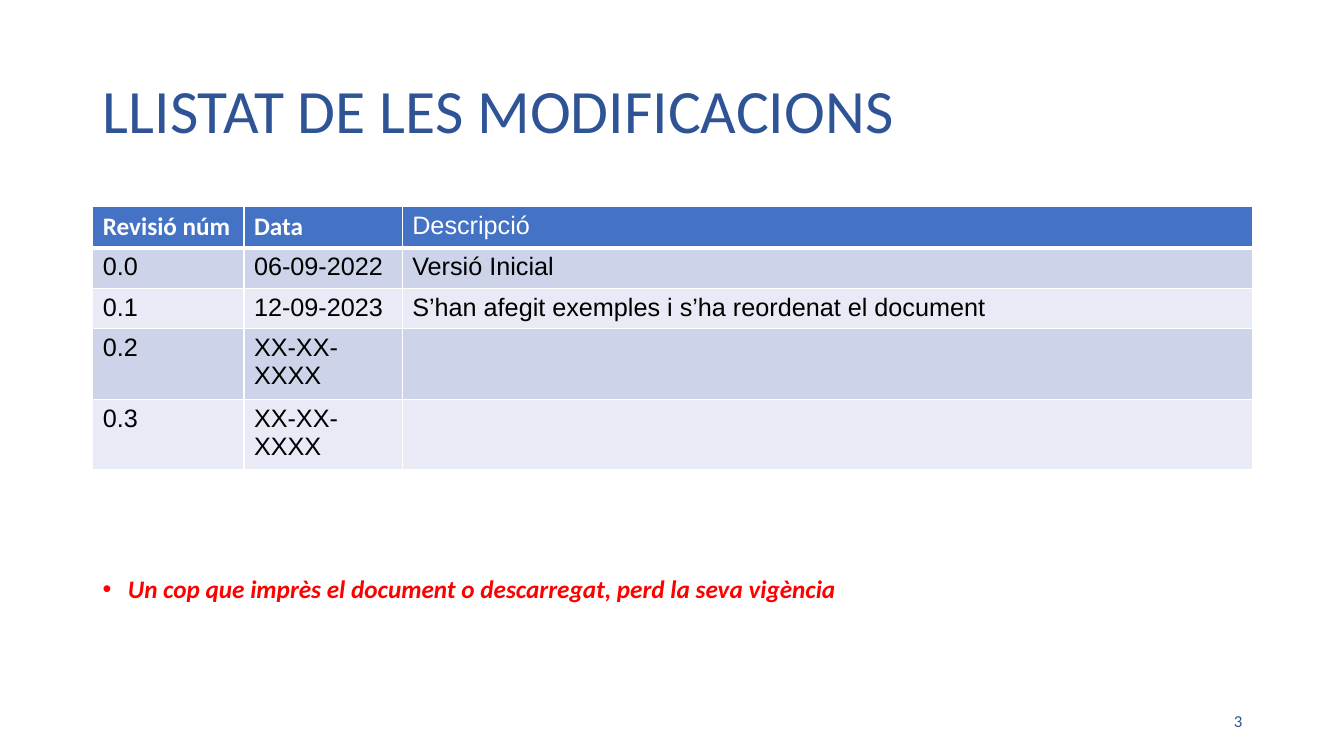
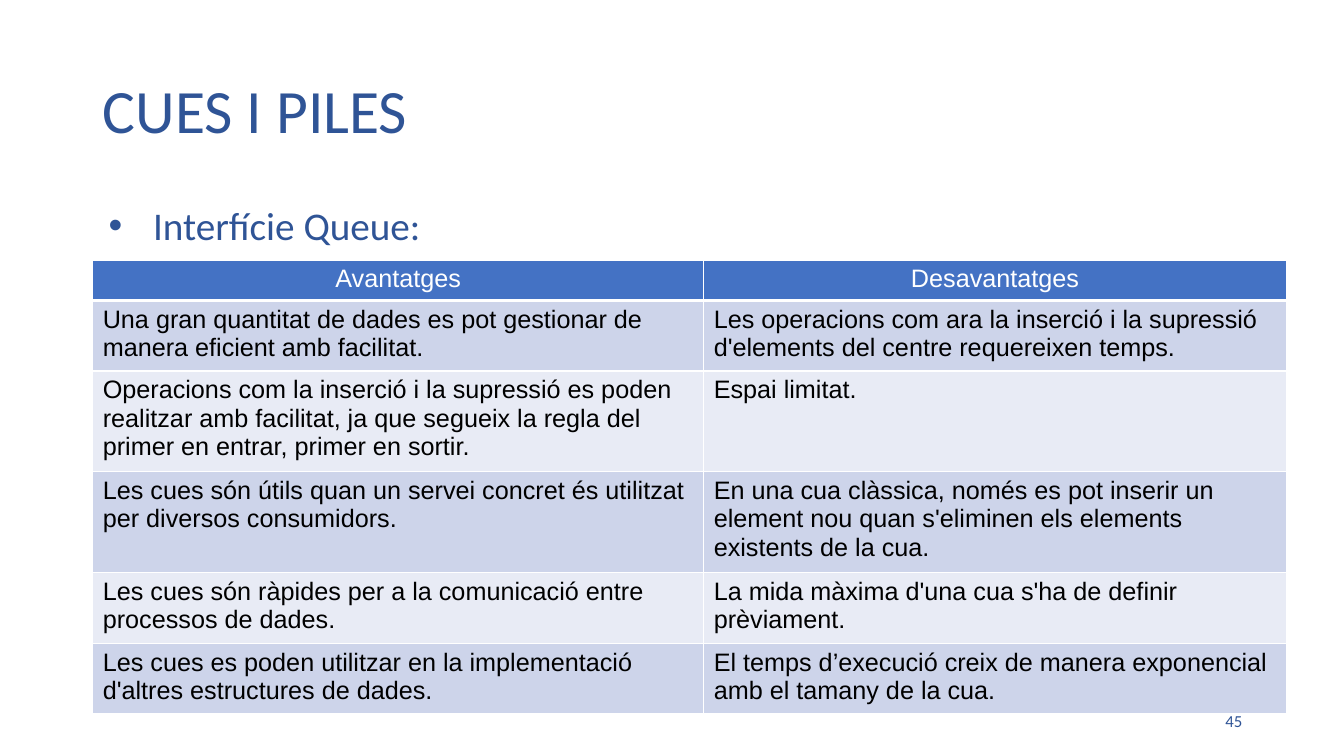
from lxml import etree
from pptx import Presentation
from pptx.dml.color import RGBColor
from pptx.enum.text import MSO_ANCHOR as Anchor, MSO_AUTO_SIZE as AutoSize, PP_ALIGN as Align
from pptx.oxml.ns import qn
from pptx.util import Inches, Pt

BLUE = RGBColor(0x2F, 0x54, 0x96)
HEADER_BLUE = RGBColor(0x44, 0x72, 0xC4)
BANDS = RGBColor(0xCD, 0xD4, 0xEA), RGBColor(0xE8, 0xEB, 0xF5)
WHITE = RGBColor(0xFF, 0xFF, 0xFF)
BLACK = RGBColor(0, 0, 0)
RED = RGBColor(0xFF, 0, 0)

TITLE = dict(name="Calibri", size=Pt(44), color=BLUE)
NUMBER = dict(name="Calibri", size=Pt(12), color=BLUE)
TOPIC = dict(name="Calibri", size=Pt(28), color=BLUE)
WARNING = dict(name="Calibri", size=Pt(18), color=RED, bold=True, italic=True)
BODY = dict(name="Arial", size=Pt(18), color=BLACK, bold=False)
HEADER = dict(BODY, color=WHITE)
STRONG_HEADER = dict(HEADER, name="Calibri", bold=True)

# Lengths are percentages of the slide's width and height.
LEFT, TEXT_WIDTH = 6.9, 86.27
LINE_1, LINE_2, LINE_3 = 5.07, 8.8, 12.53

PAGES = [
    dict(
        title="LLISTAT DE LES MODIFICACIONS",
        number="3",
        bullet="Un cop que imprès el document o descarregat, perd la seva vigència",
        bullet_format=WARNING, bullet_top=75.6, bullet_height=5.33,
        indent=0.25, hanging=0.25,
        table_top=27.33,
        columns=[11.25, 11.78, 63.24],
        rows=[5.47, LINE_1, LINE_1, LINE_2, LINE_2],
        header_formats=[STRONG_HEADER, STRONG_HEADER, HEADER],
        header_align=Align.LEFT,
        cells=[
            ["Revisió núm", "Data", "Descripció"],
            ["0.0", "06-09-2022", "Versió Inicial"],
            ["0.1", "12-09-2023", "S’han afegit exemples i s’ha reordenat el document"],
            ["0.2", "XX-XX-XXXX", ""],
            ["0.3", "XX-XX-XXXX", ""],
        ],
    ),
    dict(
        title="CUES I PILES",
        number="45",
        bullet="Interfície Queue:",
        bullet_format=TOPIC, bullet_top=26.67, bullet_height=8,
        indent=0.5, hanging=0.44,
        table_top=34.4,
        columns=[45.46, 43.36],
        rows=[LINE_1, LINE_2, LINE_3, LINE_3, LINE_2, LINE_2],
        header_formats=[HEADER, HEADER],
        header_align=Align.CENTER,
        cells=[
            ["Avantatges", "Desavantatges"],
            ["Una gran quantitat de dades es pot gestionar de manera eficient amb facilitat.",
             "Les operacions com ara la inserció i la supressió d'elements del centre requereixen temps."],
            ["Operacions com la inserció i la supressió es poden realitzar amb facilitat, "
             "ja que segueix la regla del primer en entrar, primer en sortir.",
             "Espai limitat."],
            ["Les cues són útils quan un servei concret és utilitzat per diversos consumidors.",
             "En una cua clàssica, només es pot inserir un element nou quan s'eliminen "
             "els elements existents de la cua."],
            ["Les cues són ràpides per a la comunicació entre processos de dades.",
             "La mida màxima d'una cua s'ha de definir prèviament."],
            ["Les cues es poden utilitzar en la implementació d'altres estructures de dades.",
             "El temps d’execució creix de manera exponencial amb el tamany de la cua."],
        ],
    ),
]

deck = Presentation()
deck.slide_width, deck.slide_height = Inches(13.33), Inches(7.5)


def area(left, top, width, height):
    """Turn percentages of the slide into lengths."""
    across, down = deck.slide_width / 100, deck.slide_height / 100
    return [int(left * across), int(top * down), int(width * across), int(height * down)]


def write(frame, text, text_format, align=Align.LEFT, anchor=Anchor.MIDDLE, spacing=None):
    frame.word_wrap = True
    frame.vertical_anchor = anchor
    para = frame.paragraphs[0]
    para.alignment = align
    para.line_spacing = spacing
    span = para.add_run()
    span.text = text
    for key, value in text_format.items():
        if key == "color":
            span.font.color.rgb = value
        else:
            setattr(span.font, key, value)
    return para


for content in PAGES:
    page = deck.slides.add_slide(deck.slide_layouts[5])

    title = page.shapes.title
    title.left, title.top, title.width, title.height = area(LEFT, 5.33, TEXT_WIDTH, 19.33)
    title.text_frame.auto_size = AutoSize.NONE
    write(title.text_frame, content["title"], TITLE, spacing=0.9)

    bullet_box = page.shapes.add_textbox(
        *area(LEFT, content["bullet_top"], TEXT_WIDTH, content["bullet_height"]))
    para = write(bullet_box.text_frame, content["bullet"], content["bullet_format"],
                 anchor=Anchor.TOP, spacing=0.9)
    properties = para._p.get_or_add_pPr()
    properties.set("marL", str(Inches(content["indent"])))
    properties.set("indent", str(-Inches(content["hanging"])))
    bullet_color = etree.SubElement(properties, qn("a:buClr"))
    etree.SubElement(bullet_color, qn("a:srgbClr"), val=str(content["bullet_format"]["color"]))
    etree.SubElement(properties, qn("a:buFont"), typeface="Arial")
    etree.SubElement(properties, qn("a:buChar"), char="•")

    number_box = page.shapes.add_textbox(*area(70.67, 92.67, 22.5, 5.33))
    write(number_box.text_frame, content["number"], NUMBER, align=Align.RIGHT)

    columns, rows = content["columns"], content["rows"]
    table = page.shapes.add_table(
        len(rows), len(columns),
        *area(LEFT, content["table_top"], sum(columns), sum(rows))).table
    for column, share in zip(table.columns, columns):
        column.width = int(deck.slide_width * share / 100)
    for row, share in zip(table.rows, rows):
        row.height = int(deck.slide_height * share / 100)

    for row_index, texts in enumerate(content["cells"]):
        is_header = row_index == 0
        for column_index, text in enumerate(texts):
            cell = table.cell(row_index, column_index)
            write(cell.text_frame, text,
                  content["header_formats"][column_index] if is_header else BODY,
                  align=content["header_align"] if is_header else Align.LEFT,
                  anchor=Anchor.TOP)
            borders = cell._tc.get_or_add_tcPr()
            for side in ("lnL", "lnR", "lnT", "lnB"):
                thick = (is_header and side == "lnB") or (row_index == 1 and side == "lnT")
                line = etree.SubElement(borders, qn(f"a:{side}"), w=str(Pt(3 if thick else 0.96)))
                line_fill = etree.SubElement(line, qn("a:solidFill"))
                etree.SubElement(line_fill, qn("a:srgbClr"), val=str(WHITE))
            cell.fill.solid()
            cell.fill.fore_color.rgb = HEADER_BLUE if is_header else BANDS[(row_index - 1) % 2]

deck.save("out.pptx")
